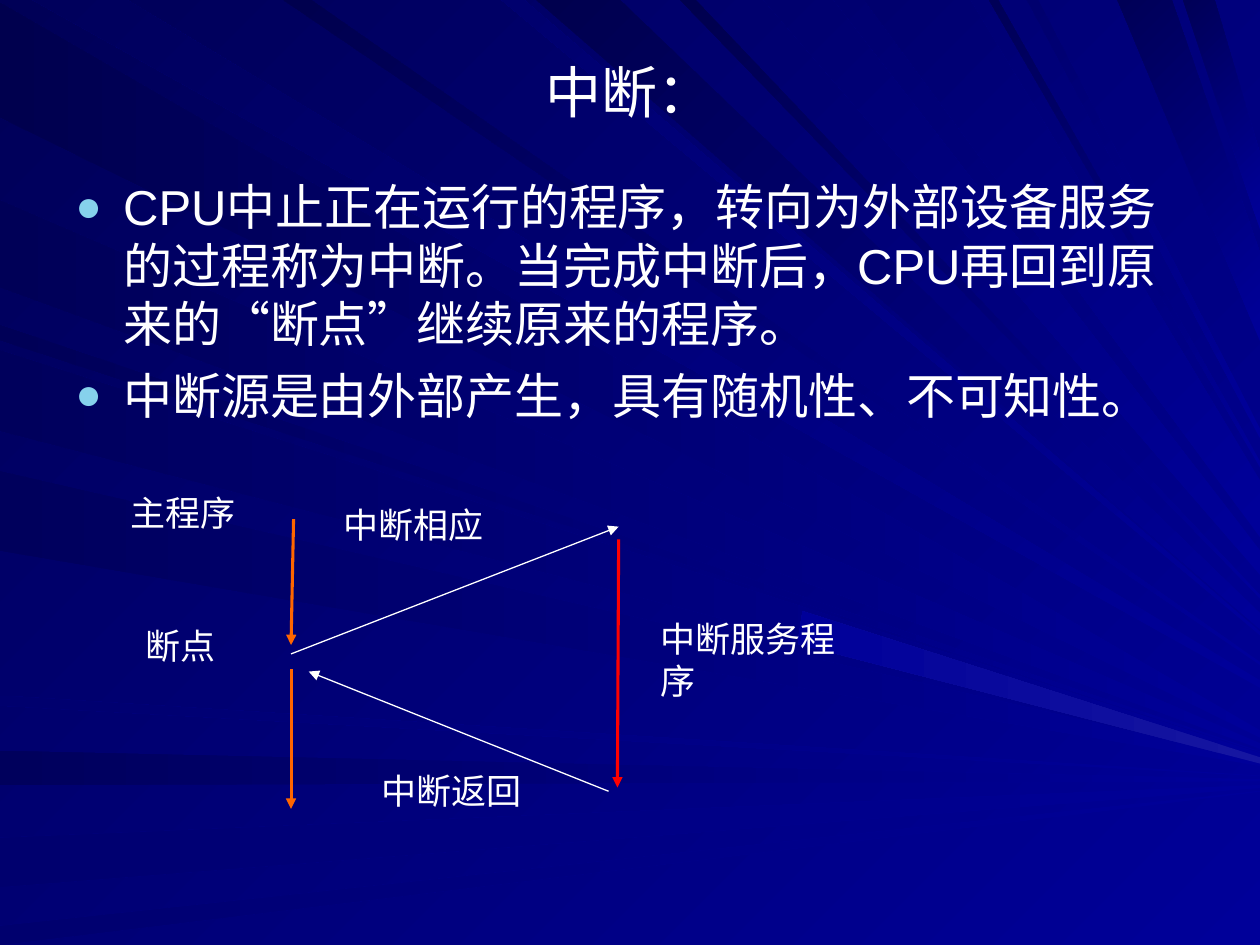
from lxml.etree import SubElement
from pptx import Presentation
from pptx.dml.color import RGBColor
from pptx.enum.shapes import MSO_CONNECTOR
from pptx.enum.text import MSO_ANCHOR, PP_ALIGN
from pptx.oxml.ns import qn
from pptx.util import Inches, Pt

COLORS = {"text": "FFFFFF", "bullet": "86D1EC", "main": "FF6600", "service": "FF0000",
          "jump": "FFFFFF", "bright": "000099", "dark": "000057", "deep": "00004E",
          "middle": "00005C", "soft": "00006E", "glow": "1616A1"}
FONT = "Arial"
WIDTH, HEIGHT = 10, 7.5

TITLE = "中断："
BULLETS = [
    "CPU中止正在运行的程序，转向为外部设备服务的过程称为中断。当完成中断后，CPU再回到原来的“断点”继续原来的程序。",
    "中断源是由外部产生，具有随机性、不可知性。",
]
# Label text: left, top, width, height
LABELS = {
    "主程序": (0.94, 3.85, 1.27, 0.44),
    "断点": (1.06, 4.91, 0.97, 0.44),
    "中断相应": (2.63, 3.95, 1.4, 0.44),
    "中断返回": (2.93, 6.06, 1.4, 0.44),
    "中断服务程序": (5.14, 4.85, 1.85, 0.77),
}
# Start, end, color, width
ARROWS = [
    ((2.33, 4.12), (2.31, 5.12), "main", 1.75),
    ((2.31, 5.31), (2.31, 6.42), "main", 1.75),
    ((2.31, 5.19), (4.91, 4.18), "jump", 0.75),
    ((4.91, 4.28), (4.9, 6.25), "service", 1.75),
    ((4.83, 6.28), (2.45, 5.33), "jump", 0.75),
]
# Rays run from a stretch of one edge toward a focus right of the slide
LEFT_FOCUS, TOP_FOCUS = (10.7, 6.2), (11.5, 6.3)
LEFT_RAYS = [
    (0.02, 0.93, "deep"), (1.59, 2.28, "dark"), (2.58, 2.7, "dark"),
    (2.78, 3.42, "middle"), (3.74, 4.37, "middle"), (5.52, 5.6, "soft"),
    (5.96, 6.23, "middle"), (6.65, 7.04, "soft"), (7.35, 7.5, "soft"),
]
TOP_RAYS = [
    (0.26, 1.01, "middle"), (2.25, 2.47, "deep"), (3.98, 4.16, "soft"),
    (4.26, 4.92, "deep"), (5.4, 5.52, "deep"), (6.06, 6.61, "soft"),
    (6.86, 7.7, "soft"), (7.85, 7.92, "dark"), (8.15, 8.24, "soft"),
    (8.87, 9.3, "dark"), (9.39, 9.64, "dark"),
]
GLOW_BAND = [(6.37, 4.85), (6.33, 5.11), (10, 6.06), (10, 6.01)]


def paint(fill, colors, angle):
    fill.gradient()
    fill.gradient_angle = 360 - angle  # python-pptx counts counter-clockwise
    for stop, color in zip(fill.gradient_stops, colors):
        stop.color.rgb = RGBColor.from_string(COLORS[color])


def add_ray(slide, corners, colors, angle):
    start, *others = [(Inches(x), Inches(y)) for x, y in corners]
    builder = slide.shapes.build_freeform(*start)
    builder.add_line_segments(others, close=True)
    ray = builder.convert_to_shape()
    ray.shadow.inherit = False
    ray.line.fill.background()
    paint(ray.fill, colors, angle)


def at_right_edge(point, focus):
    """Where the line from point to focus leaves the slide."""
    (x, y), (focus_x, focus_y) = point, focus
    return WIDTH, y + (focus_y - y) * (WIDTH - x) / (focus_x - x)


def add_edge_ray(slide, first, second, focus, color, angle):
    corners = [first, second, at_right_edge(second, focus), at_right_edge(first, focus)]
    add_ray(slide, corners, ("bright", color), angle)


def add_bullet(para):
    properties = para._p.get_or_add_pPr()
    properties.set("marL", str(Inches(0.38)))
    properties.set("indent", str(-Inches(0.38)))
    color = SubElement(properties, qn("a:buClr"))
    SubElement(color, qn("a:srgbClr"), val=COLORS["bullet"])
    SubElement(properties, qn("a:buSzPct"), val="90000")
    SubElement(properties, qn("a:buFont"), typeface=FONT)
    SubElement(properties, qn("a:buChar"), char="●")


def add_text(slide, texts, place, size=20, align=PP_ALIGN.LEFT,
             anchor=MSO_ANCHOR.TOP, bullet=False, gap=0):
    box = slide.shapes.add_textbox(*map(Inches, place))
    frame = box.text_frame
    frame.word_wrap = True
    frame.vertical_anchor = anchor
    for index, text in enumerate(texts):
        para = frame.add_paragraph() if index else frame.paragraphs[0]
        if bullet:
            add_bullet(para)
        para.alignment = align
        para.space_before = Pt(gap if index else 0)
        span = para.add_run()
        span.text = text
        span.font.name = FONT
        span.font.size = Pt(size)
        span.font.color.rgb = RGBColor.from_string(COLORS["text"])


def add_arrow(slide, start, end, color, width):
    arrow = slide.shapes.add_connector(MSO_CONNECTOR.STRAIGHT, *map(Inches, start + end))
    arrow.line.color.rgb = RGBColor.from_string(COLORS[color])
    arrow.line.width = Pt(width)
    SubElement(arrow.line._get_or_add_ln(), qn("a:tailEnd"), type="triangle")
    SubElement(arrow._element.spPr, qn("a:effectLst"))


def main():
    deck = Presentation()
    deck.slide_width, deck.slide_height = Inches(WIDTH), Inches(HEIGHT)
    slide = deck.slides.add_slide(deck.slide_layouts[6])

    # Background
    paint(slide.background.fill, ("bright", "dark"), 225)
    for top, bottom, color in LEFT_RAYS:
        add_edge_ray(slide, (0, top), (0, bottom), LEFT_FOCUS, color, 180)
    for left, right, color in TOP_RAYS:
        add_edge_ray(slide, (left, 0), (right, 0), TOP_FOCUS, color, 225)
    add_ray(slide, GLOW_BAND, ("glow", "bright"), 180)

    # Title and explanation
    add_text(slide, [TITLE], (0.5, 0.3, 9, 0.85), size=32,
             align=PP_ALIGN.CENTER, anchor=MSO_ANCHOR.MIDDLE)
    add_text(slide, BULLETS, (0.5, 1.35, 9, 2.21), size=28, bullet=True, gap=7)

    # Interrupt flow
    for arrow in ARROWS:
        add_arrow(slide, *arrow)
    for label, place in LABELS.items():
        add_text(slide, [label], place)

    deck.save("out.pptx")


if __name__ == "__main__":
    main()
